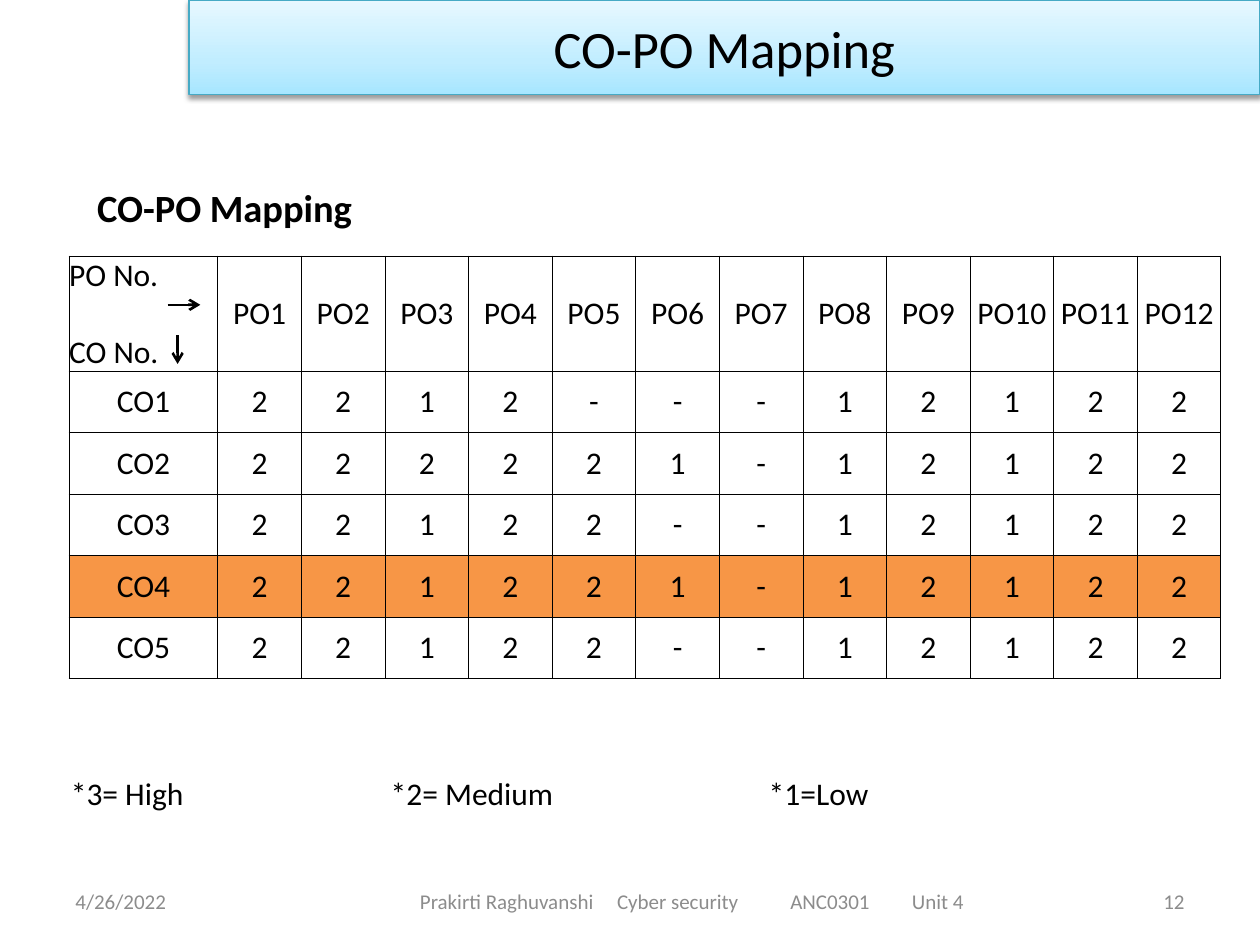
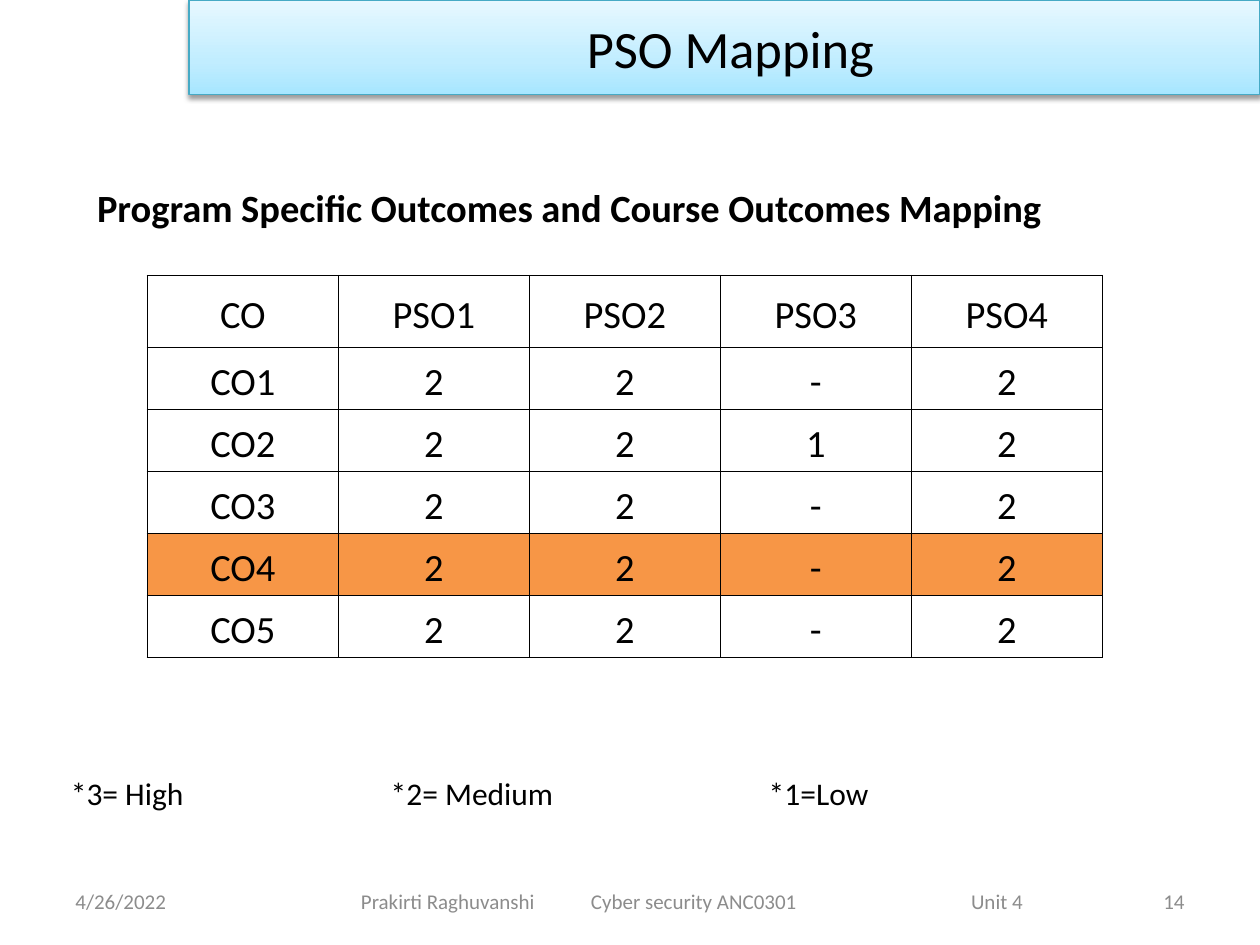
"""Build the two course outcome mapping slides."""
from dataclasses import dataclass
from typing import Any

from lxml import etree
from pptx import Presentation
from pptx.dml.color import RGBColor
from pptx.enum.shapes import MSO_CONNECTOR, MSO_SHAPE
from pptx.enum.text import MSO_ANCHOR, PP_ALIGN
from pptx.oxml import parse_xml
from pptx.oxml.ns import nsdecls, qn
from pptx.util import Pt

LEFT, MID, RIGHT = PP_ALIGN.LEFT, PP_ALIGN.CENTER, PP_ALIGN.RIGHT
CENTRE = MSO_ANCHOR.MIDDLE
RECT = MSO_SHAPE.RECTANGLE
LINE = MSO_CONNECTOR.STRAIGHT

HUES = {
    "ink": "000000", "grey": "8C8C8C", "paper": "FFFFFF", "mark": "F79646",
    "edge": "46AAC5", "deep": "A7E6FF", "soft": "C1EDFF", "pale": "E7F8FF",
}
FADE = ((0, "deep"), (35, "soft"), (100, "pale"))
FONTS = {
    "title": {"size": Pt(30), "bold": False},
    "head": {"size": Pt(22), "bold": True},
    "large": {"size": Pt(22), "bold": False},
    "body": {"size": Pt(18), "bold": False},
    "foot": {"size": Pt(12), "bold": False},
}
MARKED = "CO4"


@dataclass(frozen=True)
class Label:
    text: str
    box: tuple[float, float, float, float]
    font: str
    hue: str = "ink"
    align: Any = LEFT
    pads: tuple[float, float, float, float] = (7.2, 3.6, 7.2, 3.6)
    tabs: tuple[float, ...] = ()


@dataclass(frozen=True)
class Grid:
    spot: tuple[float, float]
    cols: list[float]
    rows: list[float]
    cells: list[list[str]]
    font: str
    pad: float
    space: float
    edge: float


@dataclass(frozen=True)
class Arrow:
    start: tuple[float, float]
    end: tuple[float, float]


@dataclass(frozen=True)
class Page:
    title: str
    shift: float
    head: str
    width: float
    grid: Grid
    foot: Label
    num: str
    arrows: tuple[Arrow, ...] = ()


def rgb(hue: str) -> RGBColor:
    """Return a named colour."""
    return RGBColor.from_string(HUES[hue])


def put(target: Any, form: dict[str, Any]) -> None:
    """Set each attribute in the format."""
    for name, value in form.items():
        setattr(target, name, value)


def pad(target: Any, pads: tuple[float, ...]) -> None:
    """Set the four inner margins."""
    sides = ("left", "top", "right", "bottom")
    put(target, {f"margin_{side}": Pt(gap) for side, gap in zip(sides, pads)})


def style(para: Any, font: str, hue: str, align: Any) -> None:
    """Style one paragraph."""
    para.alignment = align
    put(para.font, {"name": "Calibri", **FONTS[font]})
    para.font.color.rgb = rgb(hue)


def add_tabs(para: Any, tabs: tuple[float, ...]) -> None:
    """Add left tab stops."""
    props = para._p.get_or_add_pPr()
    stops = etree.SubElement(props, qn("a:tabLst"))
    for stop in tabs:
        etree.SubElement(stops, qn("a:tab"), pos=str(Pt(stop)), algn="l")


def write(frame: Any, label: Label) -> None:
    """Write a label into a text frame."""
    put(frame, {"word_wrap": True, "vertical_anchor": CENTRE})
    pad(frame, label.pads)
    para = frame.paragraphs[0]
    para.text = label.text
    if label.tabs:
        add_tabs(para, label.tabs)
    style(para, label.font, label.hue, label.align)


def add_label(slide: Any, label: Label) -> None:
    """Add a text box."""
    box = slide.shapes.add_textbox(*map(Pt, label.box))
    write(box.text_frame, label)


def add_band(slide: Any, label: Label) -> None:
    """Add the title band with its fade and shadow."""
    band = slide.shapes.add_shape(RECT, *map(Pt, label.box))
    band.line.color.rgb = rgb("edge")
    band.line.width = Pt(0.75)
    band.shadow.inherit = False
    stops = "".join(
        f'<a:gs pos="{pos * 1000}"><a:srgbClr val="{HUES[hue]}"/></a:gs>'
        for pos, hue in FADE)
    props = band._element.spPr
    props.find(qn("a:ln")).addprevious(parse_xml(
        f'<a:gradFill {nsdecls("a")} rotWithShape="1"><a:gsLst>{stops}</a:gsLst>'
        '<a:lin ang="16200000" scaled="0"/></a:gradFill>'))
    props.find(qn("a:effectLst")).append(parse_xml(
        f'<a:outerShdw {nsdecls("a")} blurRad="{Pt(3.1)}" dist="{Pt(1.6)}" '
        'dir="5400000" rotWithShape="0"><a:srgbClr val="000000">'
        '<a:alpha val="38000"/></a:srgbClr></a:outerShdw>'))
    write(band.text_frame, label)


def add_edges(cell: Any, width: float) -> None:
    """Draw the four borders of a cell."""
    props = cell._tc.get_or_add_tcPr()
    for spot, side in enumerate(("lnL", "lnR", "lnT", "lnB")):
        props.insert(spot, parse_xml(
            f'<a:{side} {nsdecls("a")} w="{Pt(width)}"><a:solidFill>'
            f'<a:srgbClr val="{HUES["ink"]}"/></a:solidFill></a:{side}>'))


def add_grid(slide: Any, grid: Grid) -> None:
    """Add a mapping table."""
    size = (sum(grid.cols), sum(grid.rows))
    table = slide.shapes.add_table(
        len(grid.rows), len(grid.cols), *map(Pt, grid.spot + size)).table
    put(table, {"first_row": False, "horz_banding": False})
    for col, width in zip(table.columns, grid.cols):
        col.width = Pt(width)
    for row, height, texts in zip(table.rows, grid.rows, grid.cells):
        row.height = Pt(height)
        for cell, text in zip(row.cells, texts):
            cell.text = text
            cell.vertical_anchor = CENTRE
            pad(cell, (grid.pad, 0, grid.pad, 0))
            cell.fill.solid()
            cell.fill.fore_color.rgb = rgb("mark" if texts[0] == MARKED else "paper")
            add_edges(cell, grid.edge)
            paras = cell.text_frame.paragraphs
            for para in paras:
                style(para, grid.font, "ink", LEFT if len(paras) > 1 else MID)
                para.line_spacing = grid.space
            for para in paras[1:]:
                para.space_before = Pt(22)


def add_arrow(slide: Any, arrow: Arrow) -> None:
    """Add a line with an open arrowhead."""
    line = slide.shapes.add_connector(LINE, *map(Pt, arrow.start + arrow.end))
    line.line.color.rgb = rgb("ink")
    line.line.width = Pt(1.5)
    etree.SubElement(line.line._get_or_add_ln(), qn("a:tailEnd"), type="arrow")
    etree.SubElement(line._element.spPr, qn("a:effectLst"))


def add_page(deck: Any, page: Page) -> None:
    """Add one mapping slide."""
    slide = deck.slides.add_slide(deck.slide_layouts[6])
    add_band(slide, Label(page.title, (108, 0, 612, 54), "title", align=MID,
                          pads=(7.2 + page.shift, 3.6, 7.2, 3.6)))
    add_grid(slide, page.grid)
    for arrow in page.arrows:
        add_arrow(slide, arrow)
    for label in (
        Label(page.head, (33.84, 101.5, page.width, 30.2), "head",
              pads=(21.6, 3.6, 7.2, 0)),
        Label("*3= High\t*2= Medium\t*1=Low", (0, 438.5, 703.4, 29), "body",
              pads=(40.5, 3.6, 7.2, 3.6), tabs=(182.8, 398.8)),
        Label("4/26/2022", (36, 500.5, 168, 28.8), "foot", "grey"),
        page.foot,
        Label(page.num, (516, 500.5, 168, 28.8), "foot", "grey", RIGHT),
    ):
        add_label(slide, label)


def foot(text: str, inset: float, *tabs: float) -> Label:
    """Return a footer label with its own stops."""
    return Label(text, (198, 500.5, 396, 28.8), "foot", "grey",
                 pads=(inset, 3.6, 0, 3.6), tabs=tabs)


def fill_rows(first: list[str], marks: list[str]) -> list[list[str]]:
    """Return the header row and one row for each course outcome."""
    return [first] + [[f"CO{n}", *row] for n, row in enumerate(marks, 1)]


PAGES = (
    Page(
        "CO-PO Mapping", 0, "CO-PO Mapping", 298,
        Grid((39.5, 146.3), [85] + [47.77] * 12, [65.15] + [35.1] * 5,
             fill_rows(["PO No.\nCO No."] + [f"PO{n}" for n in range(1, 13)],
                       ["2212---12122", "222221-12122", "22122--12122",
                        "221221-12122", "22122--12122"]),
             "body", 0, 1.0, 0.5),
        foot("Prakirti Raghuvanshi\tCyber security\tANC0301\tUnit 4",
             42, 112.6, 211.6, 281.1),
        "12",
        (Arrow((95.8, 174.2), (114.5, 174.2)), Arrow((101.5, 191.5), (101.5, 208))),
    ),
    Page(
        "PSO Mapping", 6.8,
        "Program Specific Outcomes and Course Outcomes Mapping", 613.4,
        Grid((84.2, 157.5), [109.15] * 5, [41.2] + [35.45] * 5,
             fill_rows(["CO"] + [f"PSO{n}" for n in range(1, 5)],
                       ["22-2", "2212", "22-2", "22-2", "22-2"]),
             "large", 5, 1.15, 1),
        foot("Prakirti Raghuvanshi\tCyber security ANC0301\tUnit 4",
             8.3, 131.4, 348.6),
        "14",
    ),
)


def main() -> None:
    """Build and save the deck."""
    deck = Presentation()
    put(deck, {"slide_width": Pt(720), "slide_height": Pt(540)})
    for page in PAGES:
        add_page(deck, page)
    deck.save("out.pptx")


if __name__ == "__main__":
    main()
